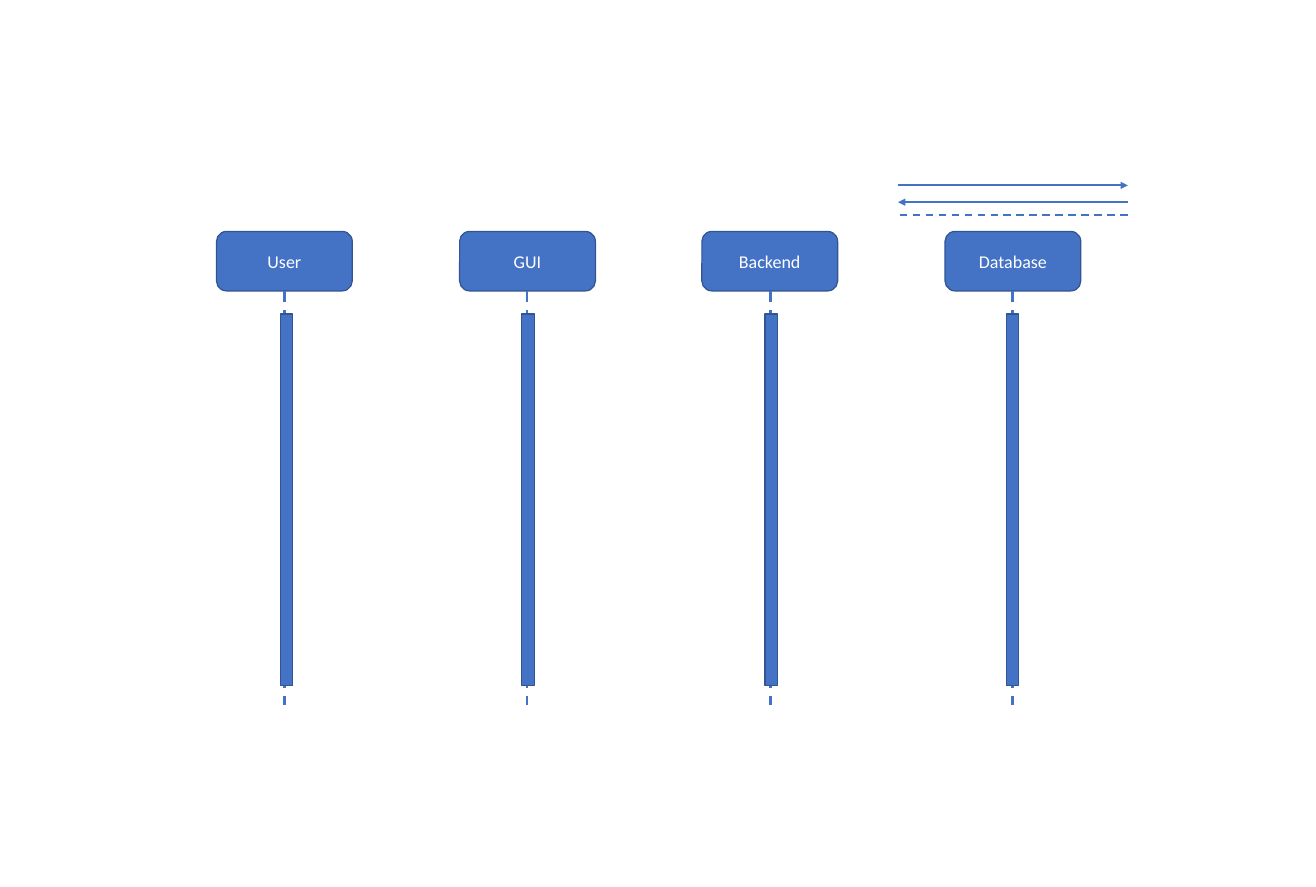
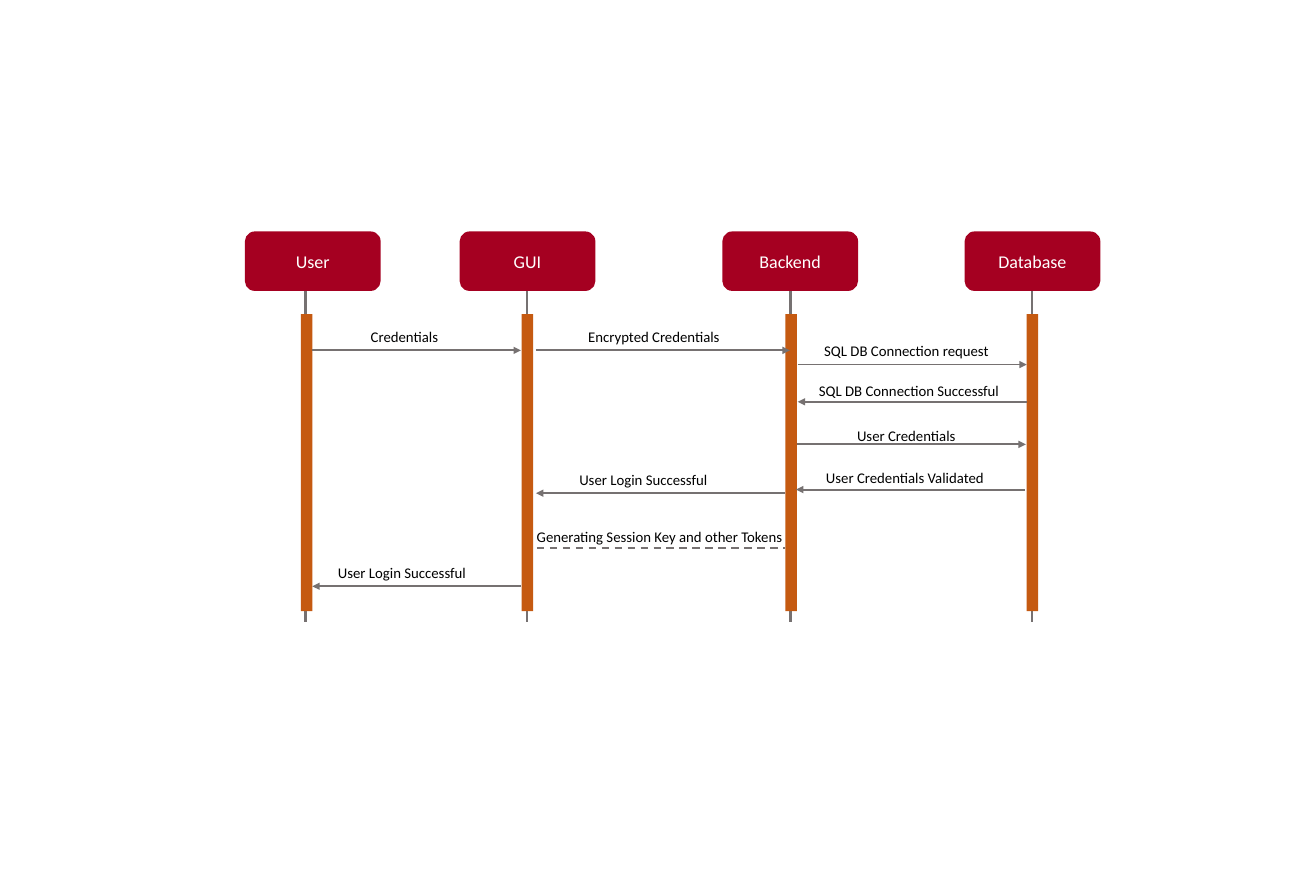
from pptx import Presentation
from pptx.dml.color import RGBColor
from pptx.enum.dml import MSO_LINE_DASH_STYLE as Dash
from pptx.enum.shapes import MSO_CONNECTOR as Connector, MSO_SHAPE as Shape
from pptx.enum.text import MSO_ANCHOR as Anchor, MSO_AUTO_SIZE as AutoSize, PP_ALIGN as Align
from pptx.oxml.ns import qn
from pptx.util import Inches, Pt
from lxml.etree import SubElement

COLORS = {
    "blue": "4472C4",
    "navy": "325491",
    "red": "A50021",
    "orange": "C55A11",
    "gray": "767171",
    "white": "FFFFFF",
    "black": "000000",
}
FONT = "Calibri"
HEAD_TOP, HEAD_WIDTH, HEAD_HEIGHT = 2.61, 1.53, 0.67
LIFELINE_TOP = HEAD_TOP + HEAD_HEIGHT
BAR_TOP = 3.54
LABEL_HEIGHT = 0.3

TEMPLATE_STYLE = {
    "head": "blue", "bar": "blue", "border": "navy", "line": "blue",
    "dash": True, "bar_width": 0.14, "bar_height": 4.19, "foot": 7.95,
}
LOGIN_STYLE = {
    "head": "red", "bar": "orange", "border": None, "line": "gray",
    "dash": False, "bar_width": 0.13, "bar_height": 3.35, "foot": 7.01,
}

# name, head left, lifeline x, bar left
TEMPLATE_ACTORS = [
    ("User", 2.44, 3.21, 3.16),
    ("GUI", 5.18, 5.94, 5.88),
    ("Backend", 7.91, 8.68, 8.62),
    ("Database", 10.65, 11.41, 11.34),
]
LOGIN_ACTORS = [
    ("User", 2.76, 3.44, 3.39),
    ("GUI", 5.18, 5.94, 5.88),
    ("Backend", 8.14, 8.91, 8.85),
    ("Database", 10.87, 11.63, 11.57),
]
# start x, end x, y, dashed
SAMPLE_ARROWS = [
    (10.12, 12.71, 2.09, False),
    (12.71, 10.12, 2.28, False),
    (10.14, 12.73, 2.42, True),
]
# label, label left, top, width, then the arrow as above
LOGIN_MESSAGES = [
    ("Credentials", 4.08, 3.65, 0.97, (3.52, 5.87, 3.95, False)),
    ("Encrypted Credentials", 6.53, 3.65, 1.7, (6.04, 8.9, 3.95, False)),
    ("SQL DB Connection request", 9.19, 3.8, 2.06, (8.99, 11.57, 4.11, False)),
    ("SQL DB Connection Successful", 9.13, 4.26, 2.24, (11.57, 8.99, 4.53, False)),
    ("User Credentials", 9.56, 4.76, 1.33, (8.98, 11.56, 5.01, False)),
    ("User Credentials Validated", 9.21, 5.24, 2, (11.55, 8.97, 5.52, False)),
    ("User Login Successful", 6.43, 5.26, 1.66, (8.85, 6.04, 5.56, False)),
    ("Generating Session Key and other Tokens", 5.95, 5.9, 3, (6.05, 8.85, 6.18, True)),
    ("User Login Successful", 3.71, 6.31, 1.66, (5.87, 3.52, 6.61, False)),
]


def color(name):
    return RGBColor.from_string(COLORS[name])


def write(frame, text, size, ink, align=Align.LEFT):
    paragraph = frame.paragraphs[0]
    paragraph.alignment = align
    run = paragraph.add_run()
    run.text = text
    run.font.name = FONT
    run.font.size = Pt(size)
    run.font.color.rgb = color(ink)


def add_block(slide, kind, left, top, width, height, fill, border):
    block = slide.shapes.add_shape(
        kind, Inches(left), Inches(top), Inches(width), Inches(height))
    block.shadow.inherit = False
    block.fill.solid()
    block.fill.fore_color.rgb = color(fill)
    if border:
        block.line.color.rgb = color(border)
        block.line.width = Pt(1)
    else:
        block.line.fill.background()
    return block


def add_line(slide, start, end, ink, width, dashed=False, arrow=False):
    line = slide.shapes.add_connector(
        Connector.STRAIGHT, *(Inches(value) for value in (*start, *end)))
    line.line.color.rgb = color(ink)
    line.line.width = Pt(width)
    if dashed:
        line.line.dash_style = Dash.DASH
    properties = line.line._get_or_add_ln()
    if arrow:
        SubElement(properties, qn("a:tailEnd"), type="triangle")
    SubElement(properties.getparent(), qn("a:effectLst"))


def add_message_arrow(slide, arrow, ink):
    start_x, end_x, y, dashed = arrow
    add_line(slide, (start_x, y), (end_x, y), ink, 1.5, dashed, not dashed)


def add_label(slide, text, left, top, width):
    label = slide.shapes.add_textbox(
        Inches(left), Inches(top), Inches(width), Inches(LABEL_HEIGHT))
    label.text_frame.word_wrap = False
    label.text_frame.auto_size = AutoSize.SHAPE_TO_FIT_TEXT
    write(label.text_frame, text, 12, "black")


def add_actors(slide, actors, style):
    for name, head_left, _, _ in actors:
        head = add_block(slide, Shape.ROUNDED_RECTANGLE, head_left, HEAD_TOP,
                         HEAD_WIDTH, HEAD_HEIGHT, style["head"], style["border"])
        head.text_frame.vertical_anchor = Anchor.MIDDLE
        write(head.text_frame, name, 14.6, "white", Align.CENTER)
    for _, _, axis, bar_left in actors:
        add_line(slide, (axis, LIFELINE_TOP), (axis, style["foot"]),
                 style["line"], 2.25, style["dash"])
        add_block(slide, Shape.RECTANGLE, bar_left, BAR_TOP, style["bar_width"],
                  style["bar_height"], style["bar"], style["border"])


def build_template(slide):
    add_actors(slide, TEMPLATE_ACTORS, TEMPLATE_STYLE)
    for arrow in SAMPLE_ARROWS:
        add_message_arrow(slide, arrow, TEMPLATE_STYLE["line"])


def build_login(slide):
    add_actors(slide, LOGIN_ACTORS, LOGIN_STYLE)
    for text, left, top, width, arrow in LOGIN_MESSAGES:
        add_message_arrow(slide, arrow, LOGIN_STYLE["line"])
        add_label(slide, text, left, top, width)


def main():
    deck = Presentation()
    deck.slide_width = Inches(14.83)
    deck.slide_height = Inches(10)
    blank = deck.slide_layouts[6]
    for build in (build_template, build_login):
        build(deck.slides.add_slide(blank))
    deck.save("out.pptx")


if __name__ == "__main__":
    main()
